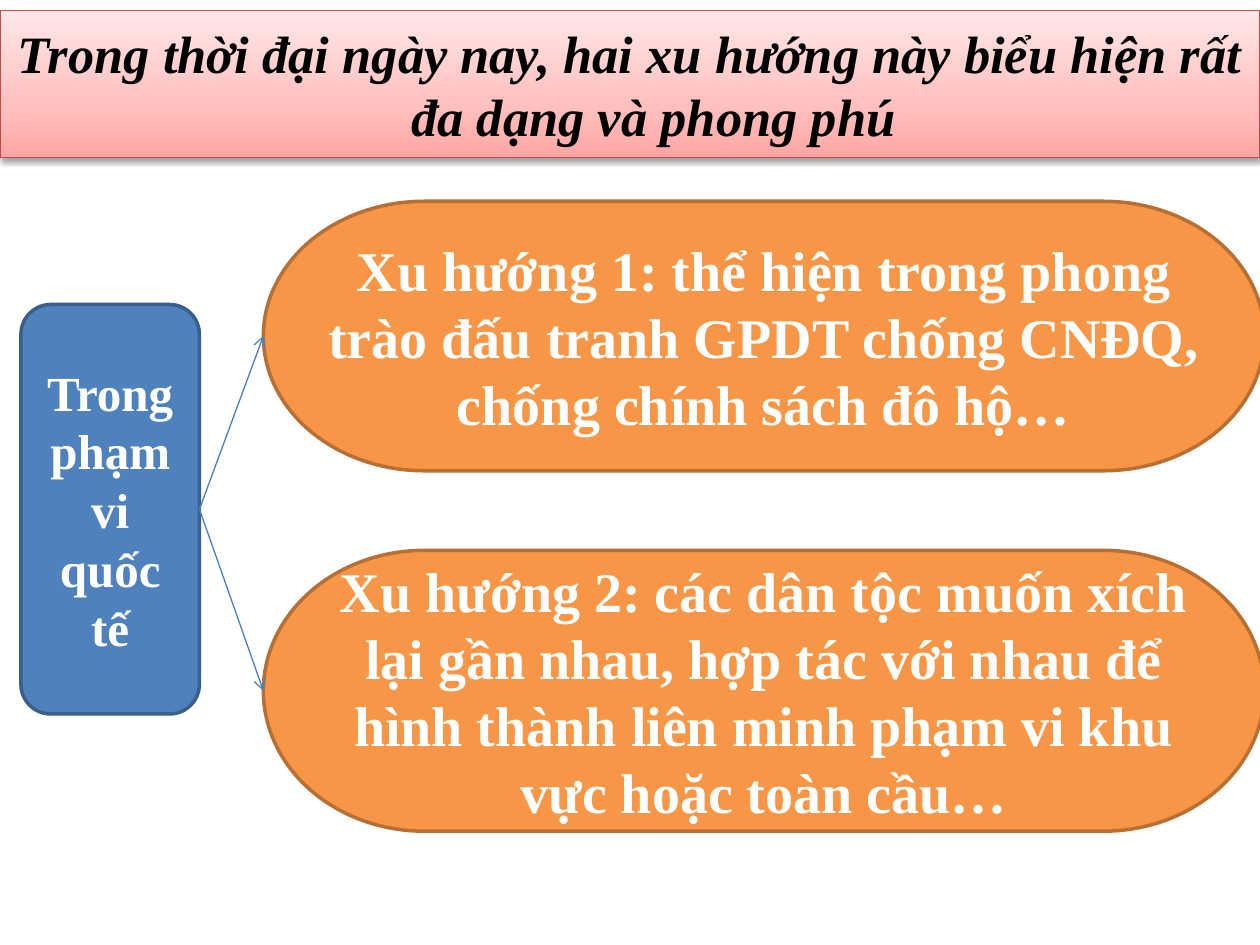
from copy import deepcopy

from pptx import Presentation
from pptx.dml.color import RGBColor
from pptx.enum.shapes import MSO_CONNECTOR, MSO_SHAPE
from pptx.enum.text import MSO_ANCHOR, PP_ALIGN
from pptx.oxml import parse_xml
from pptx.oxml.ns import nsdecls, qn
from pptx.util import Pt

FONT = "Times New Roman"
TITLE = "Trong thời đại ngày nay, hai xu hướng này biểu hiện rất đa dạng và phong phú"
SCOPE = "Trong phạm vi quốc tế"
# text, top, height
TRENDS = [
    ("Xu hướng 1: thể hiện trong phong trào đấu tranh GPDT chống CNĐQ, "
     "chống chính sách đô hộ…", 115, 154),
    ("Xu hướng 2: các dân tộc muốn xích lại gần nhau, hợp tác với nhau để "
     "hình thành liên minh phạm vi khu vực hoặc toàn cầu…", 314.5, 160.5),
]
TREND_LEFT, TREND_WIDTH = 150.5, 572
TITLE_STOPS = [(0, "FFA6A5"), (0.35, "FFC0BF"), (1, "FFE7E7")]


def color(value):
    return RGBColor.from_string(value)


def add_box(slide, kind, box, text, size, line, line_width, text_color="FFFFFF", fill=None):
    shape = slide.shapes.add_shape(kind, *map(Pt, box))
    shape.shadow.inherit = False
    if fill:
        shape.fill.solid()
        shape.fill.fore_color.rgb = color(fill)
    shape.line.color.rgb = color(line)
    shape.line.width = Pt(line_width)
    frame = shape.text_frame
    frame.word_wrap = True
    frame.vertical_anchor = MSO_ANCHOR.MIDDLE
    paragraph = frame.paragraphs[0]
    paragraph.text = text
    paragraph.alignment = PP_ALIGN.CENTER
    font = paragraph.font
    font.name, font.size, font.bold = FONT, Pt(size), True
    font.color.rgb = color(text_color)
    return shape


def style_title(shape):
    """Give the title its three-stop gradient, soft shadow and hanging indent."""
    shape.fill.gradient()
    shape.fill.gradient_angle = 90
    properties = shape._element.spPr
    stop_list = properties.find(".//" + qn("a:gsLst"))
    stop_list.append(deepcopy(stop_list[-1]))
    for stop, (position, value) in zip(shape.fill.gradient_stops, TITLE_STOPS):
        stop.position = position
        stop.color.rgb = color(value)
    properties.find(qn("a:effectLst")).append(parse_xml(
        f'<a:outerShdw {nsdecls("a")} blurRad="{Pt(3.1)}" dist="{Pt(1.6)}" dir="5400000" '
        'rotWithShape="0"><a:srgbClr val="000000"><a:alpha val="38000"/></a:srgbClr>'
        '</a:outerShdw>'))
    paragraph = shape.text_frame.paragraphs[0]
    paragraph.font.italic = True
    indents = paragraph._p.get_or_add_pPr()
    indents.set("marL", str(Pt(27)))
    indents.set("indent", str(Pt(-27)))


def add_arrow(slide, source, target):
    """Join the right side of source to the left side of target."""
    arrow = slide.shapes.add_connector(MSO_CONNECTOR.STRAIGHT, 0, 0, 0, 0)
    arrow.begin_connect(source, 3)
    arrow.end_connect(target, 1)
    arrow.line.color.rgb = color("4B7EBC")
    arrow.line.width = Pt(0.75)
    arrow.line._get_or_add_ln().append(parse_xml(f'<a:tailEnd {nsdecls("a")} type="arrow"/>'))
    arrow._element.spPr.append(parse_xml(f'<a:effectLst {nsdecls("a")}/>'))


def main():
    presentation = Presentation()
    presentation.slide_width, presentation.slide_height = Pt(720), Pt(540)
    slide = presentation.slides.add_slide(presentation.slide_layouts[6])

    title = add_box(slide, MSO_SHAPE.RECTANGLE, (0, 6, 720, 84), TITLE, 30,
                    "BF4C48", 0.75, text_color="000000")
    style_title(title)
    scope = add_box(slide, MSO_SHAPE.ROUNDED_RECTANGLE, (12, 174, 102, 234), SCOPE, 28,
                    "3A5F8C", 2, fill="4F81BD")
    trends = [
        add_box(slide, MSO_SHAPE.FLOWCHART_TERMINATOR, (TREND_LEFT, top, TREND_WIDTH, height),
                text, 32, "B76F34", 2, fill="F79646")
        for text, top, height in TRENDS
    ]
    for trend in trends:
        add_arrow(slide, scope, trend)
    presentation.save("out.pptx")


if __name__ == "__main__":
    main()
